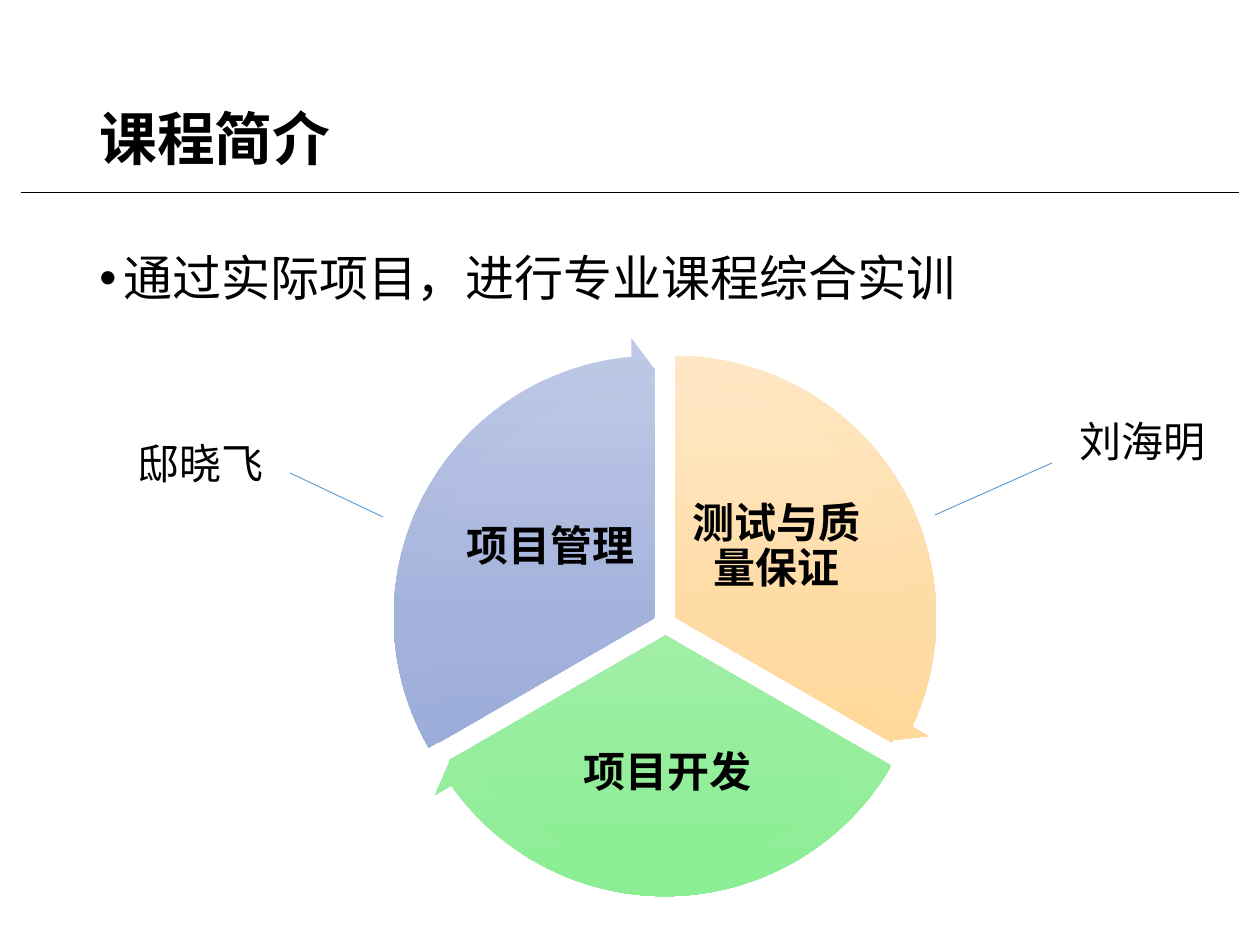
from copy import deepcopy

from lxml.etree import SubElement
from pptx import Presentation
from pptx.dml.color import RGBColor
from pptx.enum.shapes import MSO_CONNECTOR, MSO_SHAPE
from pptx.enum.text import MSO_ANCHOR, MSO_AUTO_SIZE, PP_ALIGN
from pptx.oxml.ns import qn
from pptx.util import Emu, Pt

PIXEL = 914400 // 126
FONT = "Calibri"
BLACK = RGBColor(0x00, 0x00, 0x00)
BLUE = RGBColor(0x5B, 0x9B, 0xD5)
ORANGES = [RGBColor.from_string(c) for c in ("FFE8C7", "FFDBA4", "FFD58F")]
GREENS = [RGBColor.from_string(c) for c in ("BEF3C2", "A1EEA7", "89EE92")]
PERIWINKLES = [RGBColor.from_string(c) for c in ("BEC8E6", "A4B3DC", "90A4D9")]

PIE_SIZE, ARROW_SIZE = 499, 560
# Centre, pie angles, arrow angles, colours, label and label box
SECTORS = [
    ((675, 617), (162, 18), (14.73, 161.99), ORANGES,
     "测试与质量保证", (688, 473, 178, 149)),
    ((665, 635), (18, 90), (86.72, 18.01), GREENS,
     "项目开发", (534, 708, 267, 131)),
    ((655, 617), (90, 162), (158.73, 90), PERIWINKLES,
     "项目管理", (462, 473, 178, 149)),
]
# Name, name box, line start, line end
TEACHERS = [
    ("邸晓飞", (125, 431, 152, 63), (290, 473), (383, 517)),
    ("刘海明", (1067, 409, 152, 63), (935, 515), (1052, 463)),
]


def px(*values):
    """Turn pixels into EMU lengths."""
    return [Emu(value * PIXEL) for value in values]


def add_text(slide, box, text, size, bold=False, wrap=True, spacing=None):
    """Add a text box with one paragraph and return its frame and paragraph."""
    frame = slide.shapes.add_textbox(*px(*box)).text_frame
    frame.word_wrap = wrap
    paragraph = frame.paragraphs[0]
    paragraph.text = text
    paragraph.line_spacing = spacing
    font = paragraph.font
    font.name, font.size, font.bold = FONT, Pt(size), bold
    font.color.rgb = BLACK
    return frame, paragraph


def add_bullet(paragraph, indent):
    """Give a paragraph a round bullet with a hanging indent in pixels."""
    properties = paragraph._p.get_or_add_pPr()
    properties.set("marL", str(indent * PIXEL))
    properties.set("indent", str(-indent * PIXEL))
    bullet_font = SubElement(properties, qn("a:buFont"))
    bullet_font.set("typeface", "Arial")
    bullet = SubElement(properties, qn("a:buChar"))
    bullet.set("char", "•")
    default_font = properties.find(qn("a:defRPr"))
    if default_font is not None:
        properties.append(default_font)


def add_line(slide, start, end, color):
    """Add a thin straight line without shadow."""
    line = slide.shapes.add_connector(MSO_CONNECTOR.STRAIGHT, *px(*start, *end))
    line.line.color.rgb = color
    line.line.width = Pt(0.5)
    SubElement(line._element.spPr, qn("a:effectLst"))


def fill_gradient(shape, colors):
    """Fill a shape from top to bottom with evenly spaced colours."""
    shape.fill.gradient()
    shape.fill.gradient_angle = 270
    stop_list = shape._element.spPr.find(qn("a:gradFill")).find(qn("a:gsLst"))
    stop_list.append(deepcopy(stop_list[0]))
    last = len(colors) - 1
    for index, (stop, color) in enumerate(zip(shape.fill.gradient_stops, colors)):
        stop.position = index / last
        stop.color.rgb = color


def add_round(slide, kind, center, size, adjustments, colors):
    """Add a gradient shape of equal width and height around a centre."""
    left, top = (round(value - size / 2) for value in center)
    shape = slide.shapes.add_shape(kind, *px(left, top, size, size))
    for index, value in enumerate(adjustments):
        shape.adjustments[index] = value
    shape.shadow.inherit = False
    shape.line.fill.background()
    fill_gradient(shape, colors)


def add_label(slide, box, text):
    """Add a bold centred sector label."""
    frame, paragraph = add_text(slide, box, text, 24, bold=True, spacing=0.9)
    frame.vertical_anchor = MSO_ANCHOR.MIDDLE
    inset, = px(4)
    frame.margin_left = frame.margin_right = inset
    frame.margin_top = frame.margin_bottom = inset
    paragraph.alignment = PP_ALIGN.CENTER


def add_cycle(slide):
    """Add the three labelled sectors, then the arrows around them."""
    for center, angles, _, colors, text, box in SECTORS:
        add_round(slide, MSO_SHAPE.PIE, center, PIE_SIZE, angles, colors)
        add_label(slide, box, text)
    for center, _, (end, start), colors, _, _ in SECTORS:
        adjustments = (0.051, 3.275, end, start, 0.059)
        add_round(slide, MSO_SHAPE.CIRCULAR_ARROW, center, ARROW_SIZE,
                  adjustments, colors)


def main():
    """Build the slide and save it."""
    presentation = Presentation()
    presentation.slide_width, presentation.slide_height = px(1260, 945)
    slide = presentation.slides.add_slide(presentation.slide_layouts[6])

    add_line(slide, (21, 192), (1239, 192), BLACK)
    title, _ = add_text(slide, (87, 50, 1086, 183), "课程简介", 33,
                        bold=True, spacing=0.9)
    title.vertical_anchor = MSO_ANCHOR.MIDDLE
    _, summary = add_text(slide, (87, 248, 1002, 450),
                          "通过实际项目，进行专业课程综合实训", 28, spacing=0.9)
    summary.space_before = Pt(7.5)
    add_bullet(summary, 24)

    add_cycle(slide)
    for name, box, start, end in TEACHERS:
        add_line(slide, start, end, BLUE)
        frame, _ = add_text(slide, box, name, 24, wrap=False)
        frame.auto_size = MSO_AUTO_SIZE.SHAPE_TO_FIT_TEXT

    presentation.save("out.pptx")


main()
